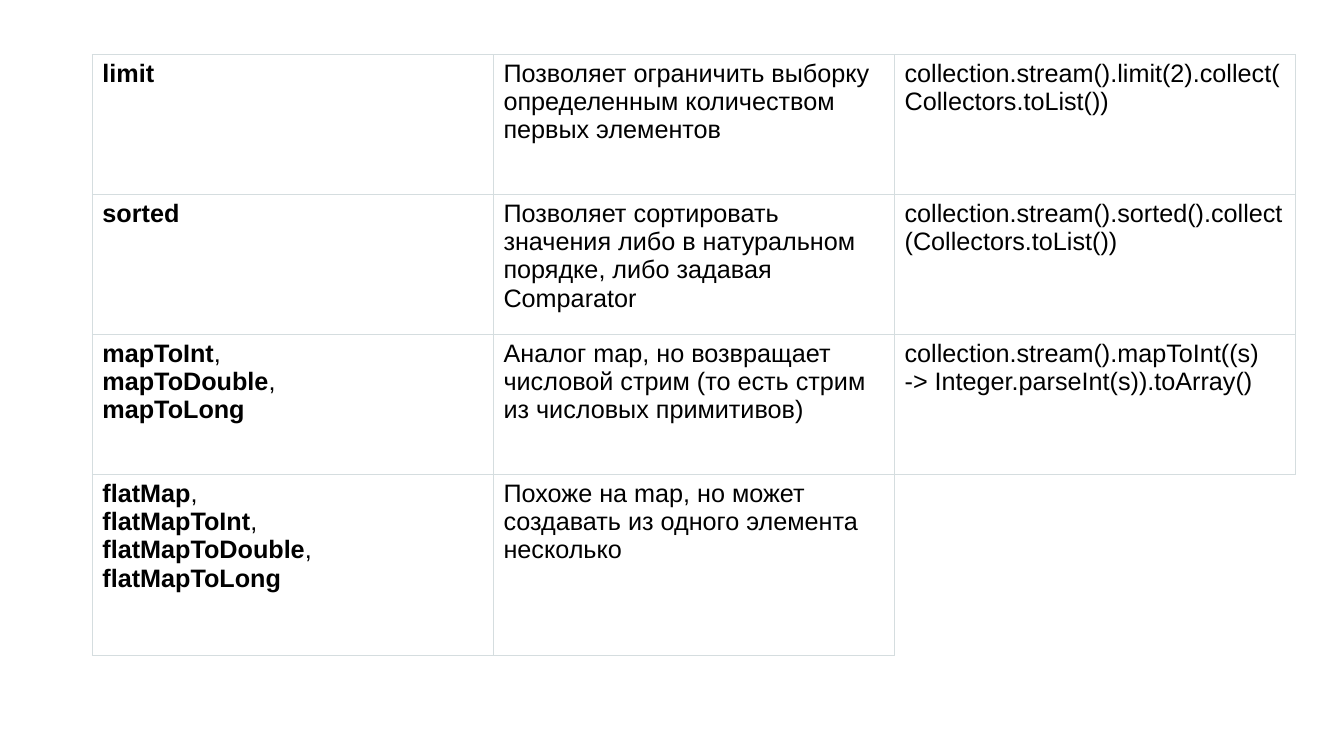
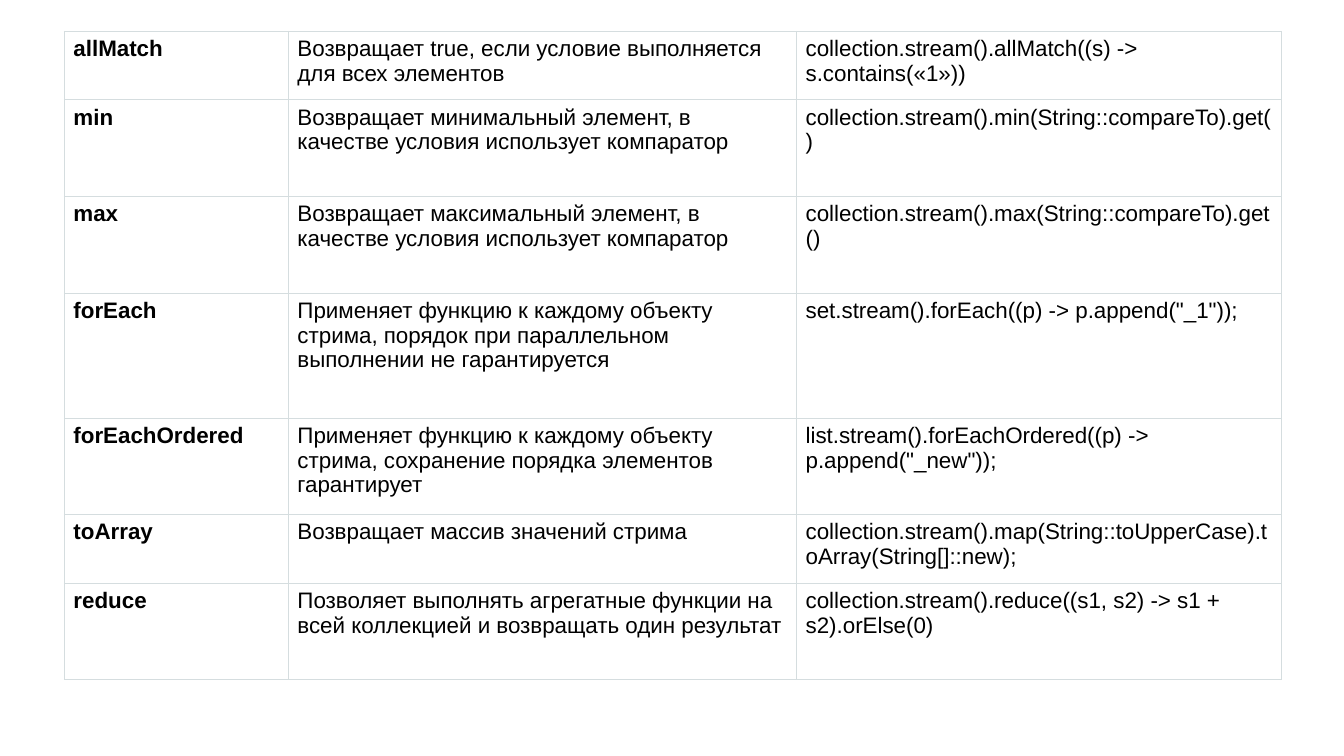
from lxml import etree
from pptx import Presentation
from pptx.dml.color import RGBColor
from pptx.enum.text import MSO_ANCHOR
from pptx.oxml.ns import qn
from pptx.util import Pt

TOP = MSO_ANCHOR.TOP
FONT = "Arial"
INK = "000000"
RULE = "D5DDDF"
SIDES = "LRTB"

LIMITS = [
    (["limit"],
     "Позволяет ограничить выборку определенным количеством первых элементов",
     "collection.stream().limit(2).collect(Collectors.toList())"),
    (["sorted"],
     "Позволяет сортировать значения либо в натуральном порядке, либо задавая Comparator",
     "collection.stream().sorted().collect(Collectors.toList())"),
    (["mapToInt", "mapToDouble", "mapToLong"],
     "Аналог map, но возвращает числовой стрим (то есть стрим из числовых примитивов)",
     "collection.stream().mapToInt((s) -> Integer.parseInt(s)).toArray()"),
    (["flatMap", "flatMapToInt", "flatMapToDouble", "flatMapToLong"],
     "Похоже на map, но может создавать из одного элемента несколько",
     ""),
]

FINALS = [
    (["allMatch"],
     "Возвращает true, если условие выполняется для всех элементов",
     "collection.stream().allMatch((s) -> s.contains(«1»))"),
    (["min"],
     "Возвращает минимальный элемент, в качестве условия использует компаратор",
     "collection.stream().min(String::compareTo).get()"),
    (["max"],
     "Возвращает максимальный элемент, в качестве условия использует компаратор",
     "collection.stream().max(String::compareTo).get()"),
    (["forEach"],
     "Применяет функцию к каждому объекту стрима, порядок при параллельном выполнении не гарантируется",
     "set.stream().forEach((p) -> p.append(\"_1\"));"),
    (["forEachOrdered"],
     "Применяет функцию к каждому объекту стрима, сохранение порядка элементов гарантирует",
     "list.stream().forEachOrdered((p) -> p.append(\"_new\"));"),
    (["toArray"],
     "Возвращает массив значений стрима",
     "collection.stream().map(String::toUpperCase).toArray(String[]::new);"),
    (["reduce"],
     "Позволяет выполнять агрегатные функции на всей коллекцией и возвращать один результат",
     "collection.stream().reduce((s1, s2) -> s1 + s2).orElse(0)"),
]


def tint(code):
    return RGBColor.from_string(code)


def write(para, words, size=18, bold=False, color=INK):
    run = para.add_run()
    run.text = words
    run.font.name = FONT
    run.font.size = Pt(size)
    run.font.bold = bold
    run.font.color.rgb = tint(color)


def names(para, items, size):
    for spot, item in enumerate(items):
        if spot:
            write(para, ",", size=size)
            para.add_line_break()
        write(para, item, size=size, bold=True)


def frame(cell, drawn):
    props = cell._tc.get_or_add_tcPr()
    for side in SIDES:
        line = etree.SubElement(props, qn(f"a:ln{side}"), w=str(Pt(0.75)))
        if side in drawn:
            fill = etree.SubElement(line, qn("a:solidFill"))
            etree.SubElement(fill, qn("a:srgbClr"), val=RULE)
        else:
            etree.SubElement(line, qn("a:noFill"))


def style(cell, inset, drawn):
    cell.margin_left = cell.margin_right = Pt(inset)
    cell.margin_top = Pt(3.6)
    cell.margin_bottom = Pt(5)
    cell.vertical_anchor = TOP
    frame(cell, drawn)
    cell.fill.background()


def grid(slide, left, top, widths, heights, rows, size, inset):
    shape = slide.shapes.add_table(
        len(rows), len(widths), Pt(left), Pt(top),
        Pt(sum(widths)), Pt(sum(heights)))
    table = shape.table
    table.first_row = table.horz_banding = False
    for col, width in zip(table.columns, widths):
        col.width = Pt(width)
    for row, height, texts in zip(table.rows, heights, rows):
        row.height = Pt(height)
        for cell, words in zip(row.cells, texts):
            style(cell, inset, SIDES if words else "LT")
            para = cell.text_frame.paragraphs[0]
            if isinstance(words, list):
                names(para, words, size)
            elif words:
                write(para, words, size=size)


def main():
    deck = Presentation()
    deck.slide_width, deck.slide_height = Pt(960), Pt(540)
    blank = deck.slide_layouts[6]
    grid(deck.slides.add_slide(blank), 66, 39, [286.5] * 3,
         [100] * 3 + [129], LIMITS, size=18, inset=7.2)
    grid(deck.slides.add_slide(blank), 46, 22.3, [160, 363, 346.5],
         [49, 69, 69, 89.3, 69, 49, 69], FINALS, size=16, inset=6.5)
    deck.save("out.pptx")


if __name__ == "__main__":
    main()
